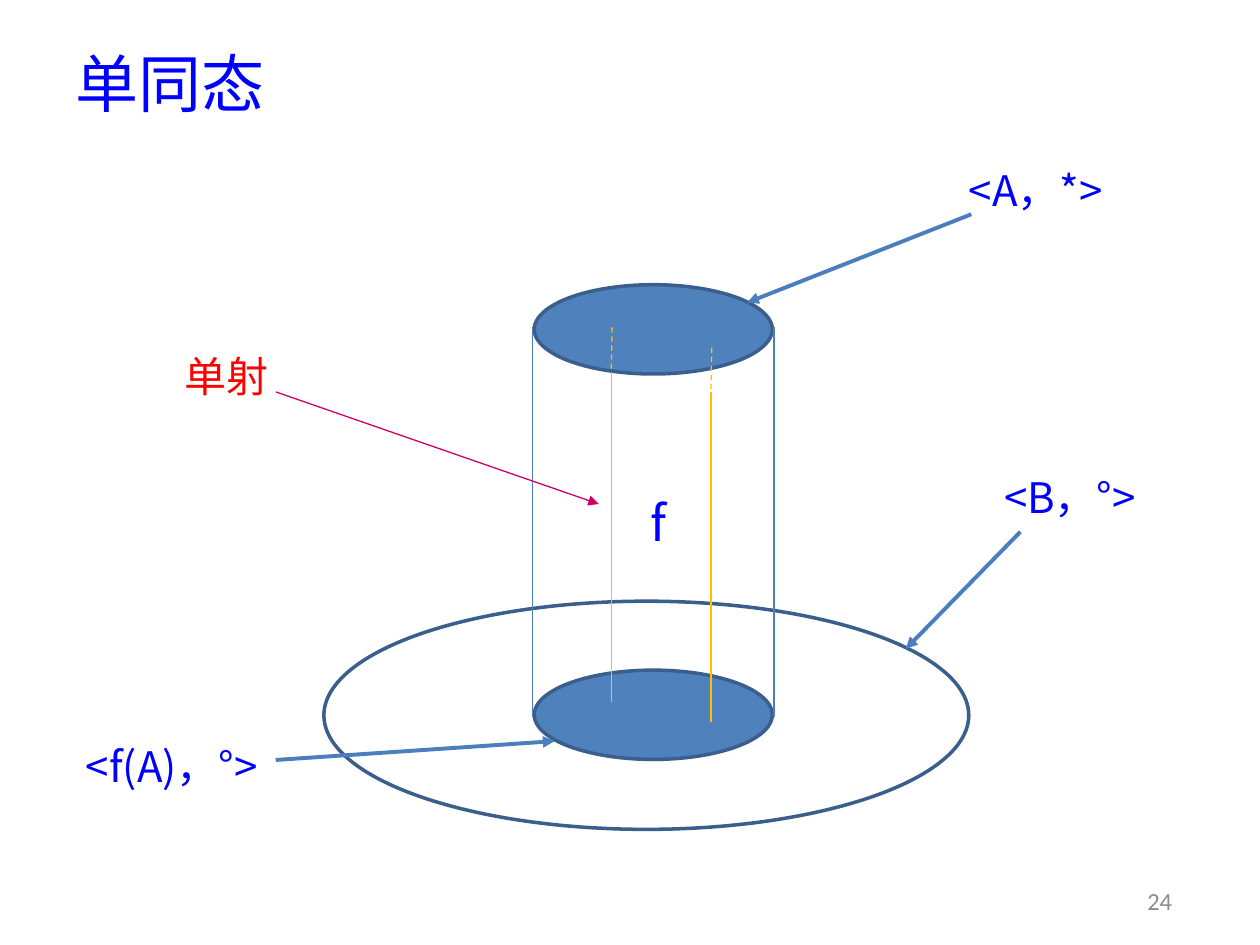
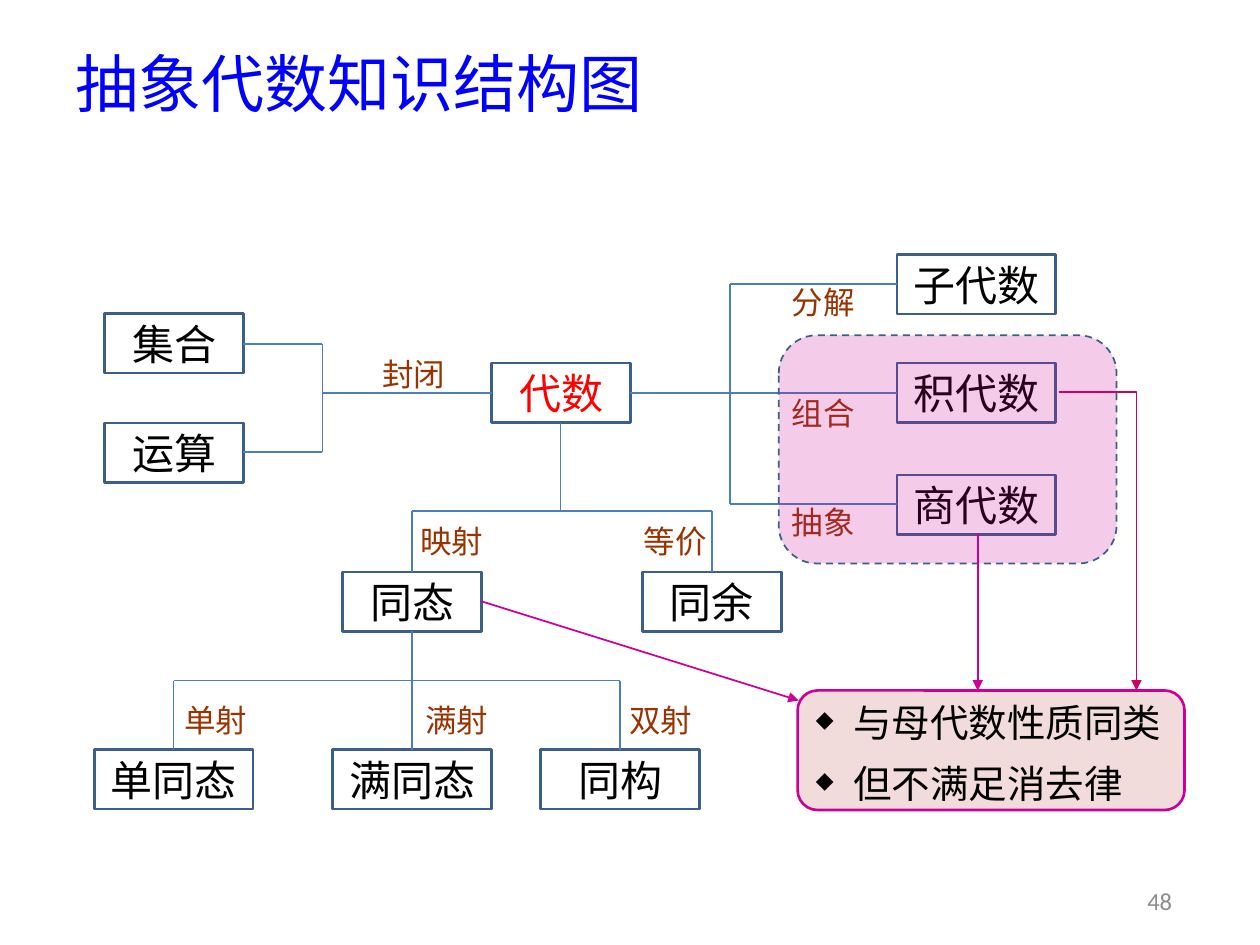
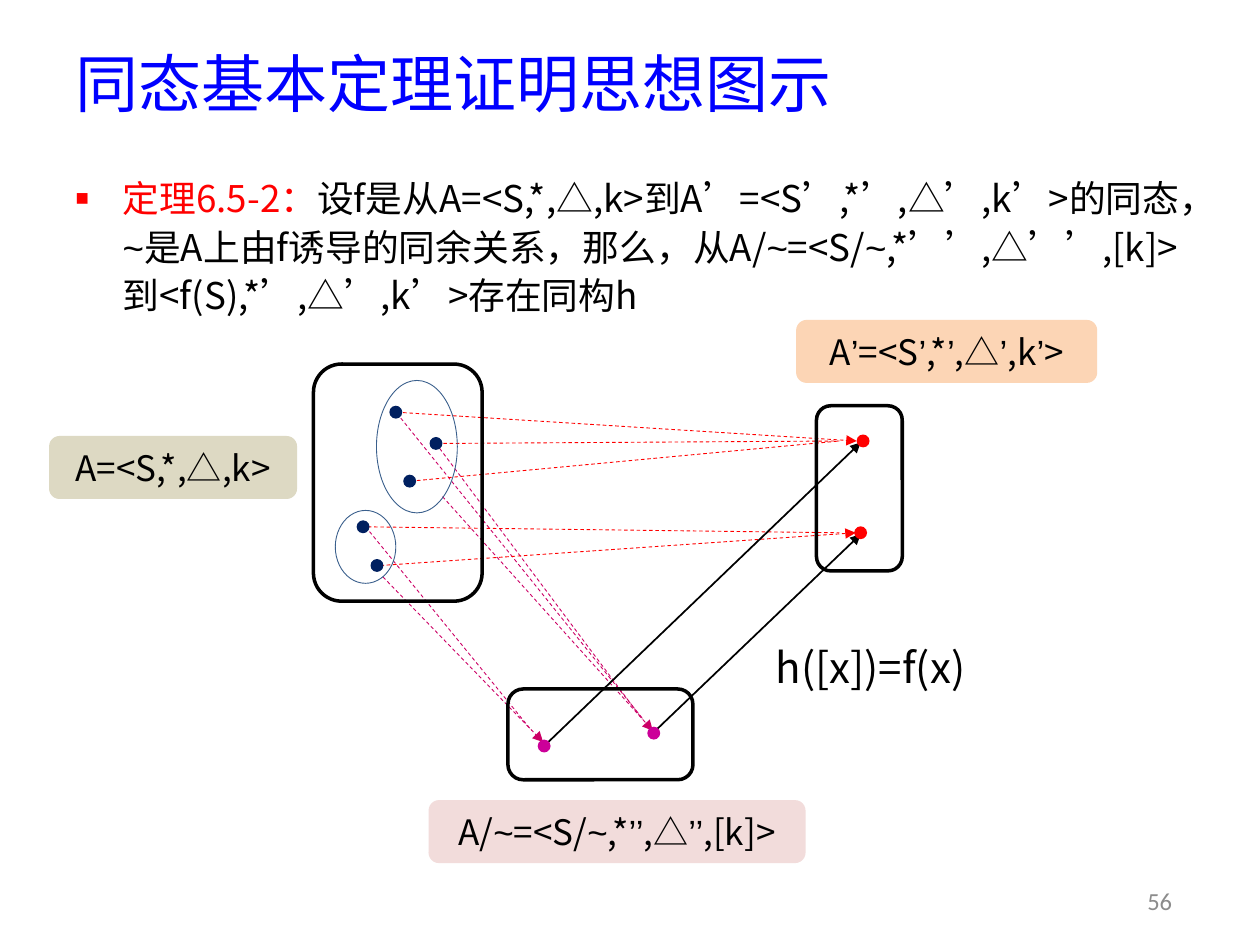
from itertools import groupby

from lxml import etree
from pptx import Presentation
from pptx import util as u
from pptx.dml.color import RGBColor
from pptx.enum import dml, shapes, text
from pptx.oxml.ns import qn

CJK, SYMBOL, NUMBER = "Noto Sans CJK SC", "Arial", "Calibri"
BLUE, RED, BLACK, NAVY = "0000FF", "FF0000", "000000", "002060"
OUTLINE, LINK, DISC = "3A5F8C", "4B7EBC", "4F81BD"
MAGENTA, CRIMSON, GOLD, BROWN, GREY = "CC0099", "CC0066", "FFC000", "993300", "8C8C8C"
SAND, PEACH, ROSE = "DDD9C3", "FCD5B5", "F2DCDB"

OVAL = shapes.MSO_SHAPE.OVAL
RECT = shapes.MSO_SHAPE.RECTANGLE
ROUND = shapes.MSO_SHAPE.ROUNDED_RECTANGLE
CENTER, LEFT = text.PP_ALIGN.CENTER, text.PP_ALIGN.LEFT

TITLE_PLACE = (1.27, 0.79, 22.86, 1.75)
BODY_PLACE = (1.27, 3.33, 22.86, 3.33)
PAGE_PLACE = (22.63, 17.65, 1.5, 1.02)
FRAME = dict(word_wrap=True, auto_size=text.MSO_AUTO_SIZE.NONE,
             vertical_anchor=text.MSO_ANCHOR.MIDDLE)


def rgb(color):
    return RGBColor.from_string(color)


def apply(target, values):
    for name, value in values.items():
        setattr(target, name, value)


def lengths(place):
    return [u.Cm(value) for value in place]


def move(placeholder, place):
    apply(placeholder, dict(zip(("left", "top", "width", "height"), lengths(place))))


def add_run(paragraph, words, size, color, font=CJK, asian=None):
    run = paragraph.add_run()
    run.text = words
    apply(run.font, dict(size=u.Pt(size), name=font))
    run.font.color.rgb = rgb(color)
    etree.SubElement(run._r.get_or_add_rPr(), qn("a:ea"), typeface=asian or font)


def add_formula(paragraph, words, size, color, asian=None):
    """Set primes and tildes in the symbol font, everything else in the CJK font."""
    for is_symbol, part in groupby(words, lambda letter: letter in "’~"):
        font = SYMBOL if is_symbol else CJK
        add_run(paragraph, "".join(part), size, color, font, asian)


def add_bullet(paragraph, sign, indent):
    properties = paragraph._p.get_or_add_pPr()
    properties.set("marL", str(u.Cm(indent)))
    properties.set("indent", str(-u.Cm(indent)))
    etree.SubElement(properties, qn("a:buSzPct"), val="60000")
    etree.SubElement(properties, qn("a:buChar"), char=sign)


def write(shape, words, size, color, font=CJK, align=CENTER):
    apply(shape.text_frame, FRAME)
    paragraph = shape.text_frame.paragraphs[0]
    paragraph.alignment = align
    if font == CJK:
        add_formula(paragraph, words, size, color)
    else:
        add_run(paragraph, words, size, color, font)


def add_label(slide, place, words, size=24, color=BLUE, font=CJK):
    write(slide.shapes.add_textbox(*lengths(place)), words, size, color, font)


def style_line(shape, color, width, dashed=False, arrow=False):
    shape.line.color.rgb = rgb(color)
    shape.line.width = u.Pt(width)
    if dashed:
        shape.line.dash_style = dml.MSO_LINE.DASH
    if arrow:
        etree.SubElement(shape.line._get_or_add_ln(), qn("a:tailEnd"), type="triangle")


def add_figure(slide, kind, place, fill=None, line=None, width=1, dashed=False):
    figure = slide.shapes.add_shape(kind, *lengths(place))
    figure.shadow.inherit = False
    if fill:
        figure.fill.solid()
        figure.fill.fore_color.rgb = rgb(fill)
    else:
        figure.fill.background()
    if line:
        style_line(figure, line, width, dashed)
    else:
        figure.line.fill.background()
    return figure


def add_line(slide, ends, color=LINK, width=1, dashed=False, arrow=False):
    line = slide.shapes.add_connector(shapes.MSO_CONNECTOR.STRAIGHT, *lengths(ends))
    style_line(line, color, width, dashed, arrow)
    etree.SubElement(line._element.spPr, qn("a:effectLst"))


def add_dots(slide, centers, color, size=0.26):
    for x, y in centers:
        add_figure(slide, OVAL, (x - size / 2, y - size / 2, size, size), color)


def add_slide(deck, layout, title, page):
    slide = deck.slides.add_slide(deck.slide_layouts[layout])
    move(slide.shapes.title, TITLE_PLACE)
    write(slide.shapes.title, title, 36, BLUE, align=LEFT)
    add_label(slide, PAGE_PLACE, str(page), 14, GREY, NUMBER)
    return slide


def build_monomorphism(deck):
    slide = add_slide(deck, 5, "单同态", 24)
    add_figure(slide, OVAL, (10.77, 5.74, 4.8, 1.8), DISC, OUTLINE, 2)
    add_figure(slide, OVAL, (6.53, 12.12, 13, 4.6), None, OUTLINE, 2)
    add_figure(slide, OVAL, (10.77, 13.51, 4.8, 1.8), DISC, OUTLINE, 2)
    for side in (10.74, 15.6):
        add_line(slide, (side, 6.6, side, 14.45), width=0.75)

    add_label(slide, (0.76, 14.73, 5.41, 1.4), "<f(A)，°>")
    add_label(slide, (17.58, 3.12, 6.6, 1.4), "<A，*>")
    add_label(slide, (18.57, 9.32, 6, 1.4), "<B，°>")
    for pointer in ((19.58, 4.32, 15.06, 6.1), (5.56, 15.32, 11.18, 14.94),
                    (20.57, 10.72, 18.26, 13.08)):
        add_line(slide, pointer, width=2.25, arrow=True)
    add_label(slide, (11.58, 9.93, 3.4, 1.2), "f", 28)

    for x, top in ((12.32, 6.6), (14.33, 7.01)):
        add_line(slide, (x, top + 0.89, x, top + 7.55), GOLD, 0.75)
        add_line(slide, (x + 0.02, top, x, top + 0.87), GOLD, 0.75, dashed=True)
    add_label(slide, (3.2, 7.01, 2.74, 1.14), "单射", color=RED)
    add_line(slide, (5.56, 7.9, 12.07, 10.16), CRIMSON, 0.75, arrow=True)


def add_concepts(slide):
    height, narrow, wide = 1.2, 2.8, 3.2
    concepts = (
        ("集合", 2.11, 6.32, narrow), ("运算", 2.11, 8.53, narrow),
        ("代数", 9.91, 7.32, narrow), ("子代数", 18.08, 5.13, wide),
        ("积代数", 18.08, 7.32, wide), ("商代数", 18.08, 9.58, wide),
        ("同态", 6.91, 11.53, narrow), ("同余", 12.95, 11.53, narrow),
        ("单同态", 1.9, 15.11, wide), ("满同态", 6.71, 15.11, wide),
        ("同构", 10.9, 15.11, wide))
    for name, left, top, width in concepts:
        box = add_figure(slide, RECT, (left, top, width, height), None, OUTLINE, 1.5)
        write(box, name, 24, RED if name == "代数" else BLACK)


def add_branches(slide):
    sources, middle, parts = (6.93, 9.12), 7.92, (5.73, 7.92, 10.16)
    links = [(4.9, y, 6.5, y) for y in sources]
    links += [(6.5, sources[0], 6.5, sources[1]), (6.5, middle, 9.91, middle),
              (12.7, middle, 14.72, middle), (14.72, parts[0], 14.72, parts[-1])]
    links += [(14.72, y, 18.08, y) for y in parts]
    for stem, top, bar, bottom, children in (
            (11.3, 8.53, 10.3, 11.53, (8.3, 14.35)),
            (8.3, 12.73, 13.72, 15.11, (3.5, 8.3, 12.5))):
        links += [(stem, top, stem, bar), (children[0], bar, children[-1], bar)]
        links += [(x, bar, x, bottom) for x in children]
    for link in links:
        add_line(slide, link)

    for name, left, top in (
            ("封闭", 7.24, 6.93), ("分解", 15.49, 5.49), ("组合", 15.49, 7.72),
            ("抽象", 15.49, 9.93), ("映射", 8, 10.3), ("等价", 12.51, 10.3),
            ("单射", 3.25, 13.92), ("满射", 8.1, 13.92), ("双射", 12.22, 13.92)):
        add_label(slide, (left, top, 2.21, 1.2), name, 18, BROWN)


def add_shared_properties(slide):
    region = add_figure(slide, ROUND, (15.7, 6.76, 6.81, 4.6), MAGENTA, OUTLINE, 1, True)
    tint = region.fill._xPr.find(".//" + qn("a:srgbClr"))
    etree.SubElement(tint, qn("a:alpha"), val="20000")

    note = add_figure(slide, ROUND, (16.08, 13.92, 7.8, 2.41), ROSE, MAGENTA, 1.5)
    frame = note.text_frame
    apply(frame, FRAME)
    for index, words in enumerate(("与母代数性质同类", "但不满足消去律")):
        paragraph = frame.add_paragraph() if index else frame.paragraphs[0]
        add_bullet(paragraph, "◆", 0.76)
        apply(paragraph, dict(alignment=LEFT, line_spacing=1.1,
                              space_before=u.Pt(6 if index else 0)))
        add_run(paragraph, words, 22, BLACK)

    for pointer in ((19.71, 10.77, 19.71, 13.92), (9.7, 12.12, 16.1, 14.12)):
        add_line(slide, pointer, MAGENTA, arrow=True)
    corner = slide.shapes.build_freeform(u.Cm(21.34), u.Cm(7.9))
    corner.add_line_segments([lengths((22.91, 7.9)), lengths((22.91, 13.92))], close=False)
    elbow = corner.convert_to_shape()
    elbow.shadow.inherit = False
    elbow.fill.background()
    style_line(elbow, CRIMSON, 1, arrow=True)


def build_structure(deck):
    slide = add_slide(deck, 5, "抽象代数知识结构图", 48)
    add_concepts(slide)
    add_branches(slide)
    add_shared_properties(slide)


def add_theorem(slide):
    theorem = slide.placeholders[1]
    move(theorem, BODY_PLACE)
    apply(theorem.text_frame, dict(FRAME, vertical_anchor=text.MSO_ANCHOR.TOP))
    paragraph = theorem.text_frame.paragraphs[0]
    add_bullet(paragraph, "■", 0.95)
    apply(paragraph, dict(line_spacing=1.1, space_before=u.Pt(0), space_after=u.Pt(6)))
    add_run(paragraph, "定理6.5-2：", 21, RED)
    add_formula(paragraph, "设f是从A=<S,*,△,k>到A’=<S’,*’,△’,k’>的同态，~是A上由f诱导的"
                "同余关系，那么，从A/~=<S/~,*’’,△’’,[k]>到<f(S),*’,△’,k’>存在同构h",
                21, BLACK, CJK)


def add_mappings(slide):
    to_classes = (
        (7.72, 11.63, 10.95, 14.96, True), (8.92, 10.01, 13.16, 14.73, True),
        (8, 8.33, 12.95, 14.48, False), (8.79, 8.94, 12.95, 14.5, False),
        (7.37, 10.62, 10.72, 14.73, False))
    to_images = (
        (8, 8.31, 17.27, 8.89, True), (8.81, 8.94, 16.92, 8.89, False),
        (8.28, 9.7, 16.92, 8.89, False), (7.29, 10.62, 16.92, 10.74, False),
        (7.67, 11.4, 17.25, 10.74, True))
    for mapping, color in ((to_classes, CRIMSON), (to_images, RED)):
        for *ends, arrow in mapping:
            add_line(slide, ends, color, 0.5, dashed=True, arrow=arrow)
    for ends in ((13.18, 14.76, 17.35, 10.77), (11.02, 14.99, 17.35, 8.92)):
        add_line(slide, ends, BLACK, arrow=True)
    add_label(slide, (14.78, 12.65, 5.54, 1.6), "h([x])=f(x)", color=BLACK)


def add_sets(slide):
    add_dots(slide, ((8.79, 8.94), (8.26, 9.7), (7.32, 10.62), (7.98, 8.31),
                     (7.6, 11.4)), NAVY)
    add_dots(slide, ((17.4, 8.89), (17.35, 10.74)), RED)
    add_dots(slide, ((10.97, 15.04), (13.18, 14.78)), MAGENTA)
    for place in ((7.59, 7.67, 1.63, 2.67), (6.76, 10.29, 1.22, 1.47)):
        add_figure(slide, OVAL, place, None, OUTLINE, 0.5)
    for place in ((16.46, 8.18, 1.73, 3.33), (6.32, 7.34, 3.4, 4.78),
                  (10.24, 13.89, 3.73, 1.83)):
        add_figure(slide, ROUND, place, None, BLACK, 2)
    for algebra, left, top, width, fill in (
            ("A=<S,*,△,k>", 0.99, 8.79, 5, SAND),
            ("A’=<S’,*’,△’,k’>", 16.05, 6.45, 6.07, PEACH),
            ("A/~=<S/~,*’’,△’’,[k]>", 8.64, 16.13, 7.6, ROSE)):
        write(add_figure(slide, ROUND, (left, top, width, 1.27), fill), algebra, 20, BLACK)


def build_theorem_proof(deck):
    slide = add_slide(deck, 1, "同态基本定理证明思想图示", 56)
    add_theorem(slide)
    add_mappings(slide)
    add_sets(slide)


def main():
    deck = Presentation()
    apply(deck, dict(slide_width=u.Cm(25.4), slide_height=u.Cm(19.05)))
    build_monomorphism(deck)
    build_structure(deck)
    build_theorem_proof(deck)
    deck.save("out.pptx")


if __name__ == "__main__":
    main()
